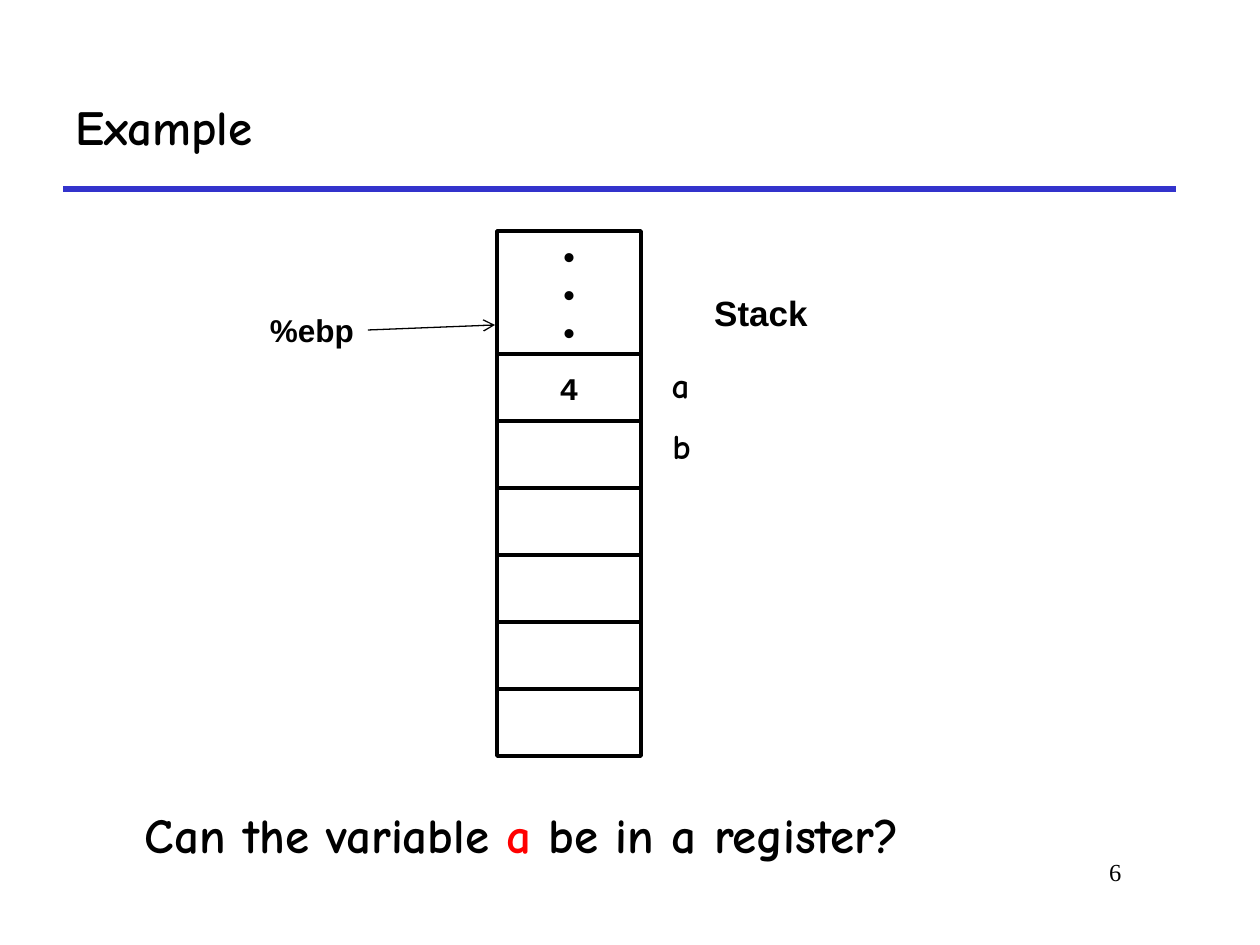
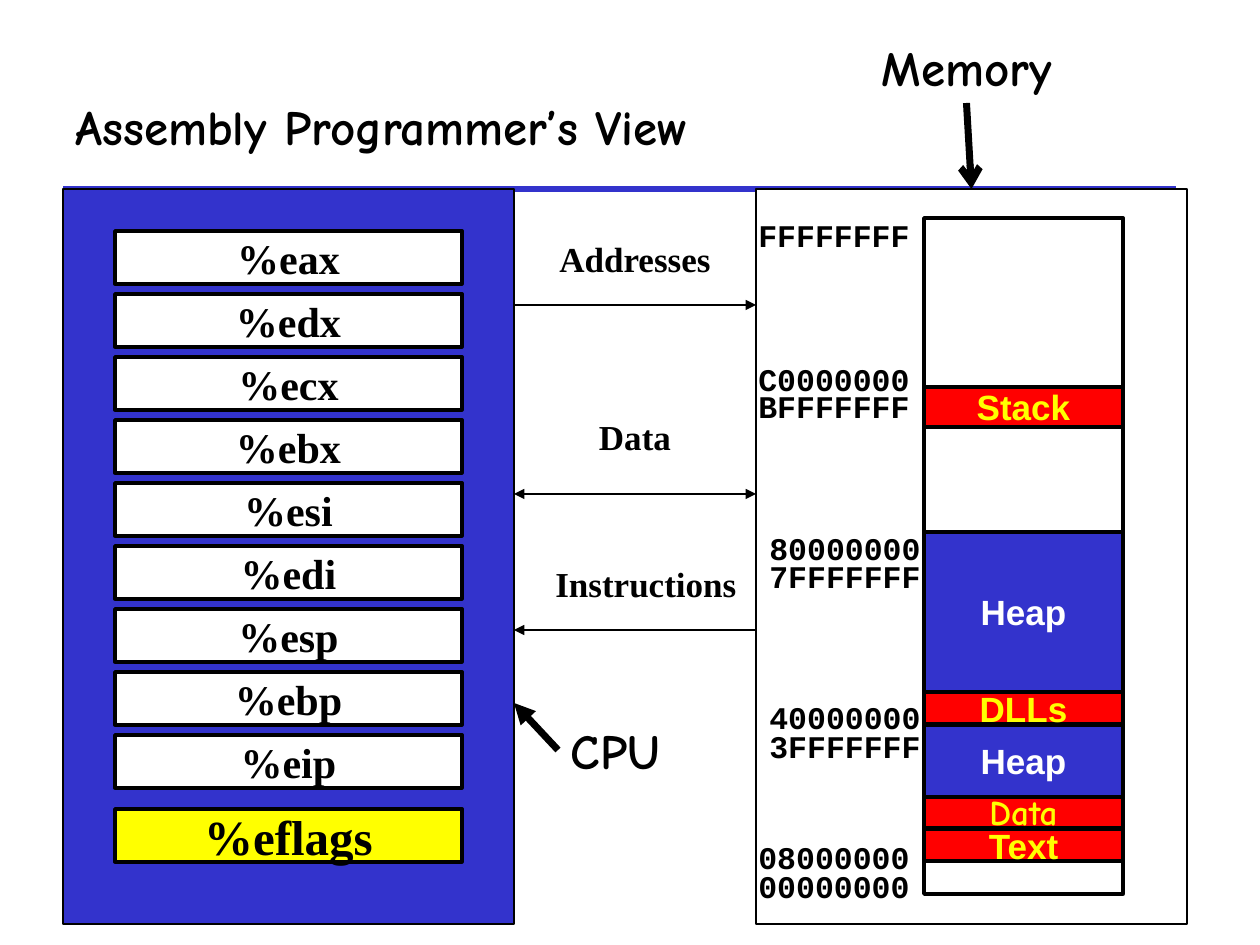
import pptx
import pptx.util
import pptx.dml.color
import pptx.enum.shapes
import pptx.enum.text
import pptx.oxml
import pptx.oxml.ns
import lxml.etree

SCALE = 914400 / 126
BLACK, WHITE, BLUE = "000000", "FFFFFF", "3333CC"
RED, YELLOW = "FF0000", "FFFF00"
COMIC, SANS, SERIF, MONO = "Comic Neue", "Arial", "Times New Roman", "Courier New"
ALIGN = pptx.enum.text.PP_ALIGN
FIT = pptx.enum.text.MSO_AUTO_SIZE
MIDDLE = pptx.enum.text.MSO_ANCHOR.MIDDLE
RECT = pptx.enum.shapes.MSO_SHAPE.RECTANGLE
STRAIGHT = pptx.enum.shapes.MSO_CONNECTOR.STRAIGHT


def px(*lengths):
    return [pptx.util.Emu(round(n * SCALE)) for n in lengths]


def color(code):
    return pptx.dml.color.RGBColor.from_string(code)


def style(run, size, face, hue, bold=True):
    run.font.size = pptx.util.Pt(size)
    run.font.name = face
    run.font.bold = bold
    run.font.color.rgb = color(hue)


def write(frame, text, size, face, hue=BLACK, align=ALIGN.CENTER, bold=True):
    frame.text = text
    for para in frame.paragraphs:
        para.alignment = align
        for run in para.runs:
            style(run, size, face, hue, bold)


def label(slide, place, text, size, face, wrap=False, **look):
    """Add a text box; one that does not wrap grows with its text."""
    shape = slide.shapes.add_textbox(*px(*place))
    frame = shape.text_frame
    frame.word_wrap = wrap
    frame.auto_size = FIT.NONE if wrap else FIT.SHAPE_TO_FIT_TEXT
    write(frame, text, size, face, **look)
    return shape


def box(slide, place, fill=WHITE, weight=2.0, text="", size=20, face=SANS, hue=BLACK):
    """Draw a black-edged rectangle; a fill of None leaves it hollow."""
    shape = slide.shapes.add_shape(RECT, *px(*place))
    shape.shadow.inherit = False
    if fill:
        shape.fill.solid()
        shape.fill.fore_color.rgb = color(fill)
    else:
        shape.fill.background()
    shape.line.color.rgb = color(BLACK)
    shape.line.width = pptx.util.Pt(weight)
    if text:
        shape.text_frame.word_wrap = False
        shape.text_frame.vertical_anchor = MIDDLE
        write(shape.text_frame, text, size, face, hue)
    return shape


def line(slide, ends, weight=0.75, hue=BLACK, head=None, tail=None):
    """Draw a line; head is the arrowhead at its start, tail at its end."""
    link = slide.shapes.add_connector(STRAIGHT, *px(*ends))
    link.line.color.rgb = color(hue)
    link.line.width = pptx.util.Pt(weight)
    for tag, kind in (("a:headEnd", head), ("a:tailEnd", tail)):
        if kind:
            tip = lxml.etree.SubElement(link.line._get_or_add_ln(), pptx.oxml.ns.qn(tag))
            tip.set("type", kind)
    lxml.etree.SubElement(link._element.spPr, pptx.oxml.ns.qn("a:effectLst"))
    return link


def start(deck, title):
    """Add a slide with its title and the blue rule below it."""
    slide = deck.slides.add_slide(deck.slide_layouts[5])
    head = slide.shapes.title
    head.left, head.top, head.width, head.height = px(63, 63, 1113, 126)
    frame = head.text_frame
    frame.auto_size = FIT.NONE
    frame.vertical_anchor = MIDDLE
    write(frame, title, 28, COMIC, align=ALIGN.LEFT)
    line(slide, (63, 189, 1176, 189), 3, BLUE)
    return slide


def draw_stack(slide):
    left, wide, high = 497, 144, 67
    cells = [(left, 354 + high * n, wide, high) for n in range(6)]
    for cell in cells[1:]:
        box(slide, cell)
    box(slide, (left, 231, wide, 126), text="•\n•\n•", size=18)
    box(slide, cells[0], text="4", size=18, face=MONO)

    label(slide, (695, 285, 132, 55), "Stack", 20, SANS)
    label(slide, (659, 357, 43, 55), "a", 20, COMIC)
    label(slide, (660, 418, 43, 55), "b", 20, COMIC)
    base = label(slide, (256, 305, 112, 50), "%ebp", 18, SANS)
    link = line(slide, (368, 330, 495, 325), tail="arrow")
    link.begin_connect(base, 3)


def draw_query(slide):
    query = label(slide, (131, 798, 782, 72), "Can the variable ", 28, COMIC)
    para = query.text_frame.paragraphs[0]
    for text, hue in (("a", RED), (" be in a register?", BLACK)):
        run = para.add_run()
        run.text = text
        style(run, 28, COMIC, hue)


def draw_cpu(slide):
    box(slide, (63, 189, 451, 735), BLUE, 0.75)
    names = "eax edx ecx ebx esi edi esp ebp eip".split()
    for n, name in enumerate(names):
        box(slide, (115, 231 + 63 * n, 347, 53), text="%" + name, size=24, face=SERIF)
    box(slide, (115, 809, 347, 53), YELLOW, text="%eflags", size=28, face=SERIF)
    tag = label(slide, (558, 714, 115, 72), "CPU", 28, COMIC)
    link = line(slide, (558, 750, 514, 703), 4, tail="triangle")
    link.begin_connect(tag, 1)


def draw_memory(slide):
    panel = box(slide, (756, 189, 431, 735), WHITE, 0.75)
    left, top, wide, part = 924, 218, 199, 169
    for n in range(4):
        box(slide, (left, top + part * n, wide, part), weight=0.75)

    marks = {
        746: (("FFFFFFFF", 210), ("C0000000", 354), ("BFFFFFFF", 381),
              ("08000000", 832), ("00000000", 861)),
        757: (("80000000", 523), ("7FFFFFFF", 551),
              ("40000000", 692), ("3FFFFFFF", 721)),
    }
    for x, column in marks.items():
        for text, y in column:
            label(slide, (x, y, 176, 50), text, 18, MONO)

    box(slide, (left, top, wide, 4 * part), None)
    areas = (
        ("Stack", 387, 40, RED, YELLOW, SANS),
        ("DLLs", 692, 32, RED, YELLOW, SANS),
        ("Text", 829, 32, RED, YELLOW, SANS),
        ("Data", 796, 32, RED, YELLOW, COMIC),
        ("Heap", 725, 72, BLUE, WHITE, SANS),
        ("Heap", 532, 160, BLUE, WHITE, SANS),
    )
    for name, y, high, fill, hue, face in areas:
        box(slide, (left, y, wide, high), fill, text=name, face=face, hue=hue)

    tag = label(slide, (869, 31, 195, 72), "Memory", 28, COMIC)
    link = line(slide, (967, 103, 971, 189), 4, tail="arrow")
    link.begin_connect(tag, 2)
    link.end_connect(panel, 0)


def draw_buses(slide):
    tip = "triangle"
    buses = (
        ("Addresses", 514, 231, 305, None, tip),
        ("Data", 514, 409, 494, tip, tip),
        ("Instructions", 525, 556, 630, tip, None),
    )
    for name, x, y, level, head, tail in buses:
        line(slide, (514, level, 756, level), head=head, tail=tail)
        label(slide, (x, y, 242, 55), name, 20, SERIF, wrap=True)


def main():
    deck = pptx.Presentation()
    deck.slide_width, deck.slide_height = px(1260, 945)

    slide = start(deck, "Example")
    draw_stack(slide)
    draw_query(slide)
    label(slide, (955, 851, 179, 63), "6", 14, SERIF, wrap=True,
          align=ALIGN.RIGHT, bold=False)

    slide = start(deck, "Assembly Programmer’s View")
    draw_cpu(slide)
    draw_memory(slide)
    draw_buses(slide)

    deck.save("out.pptx")


if __name__ == "__main__":
    main()
